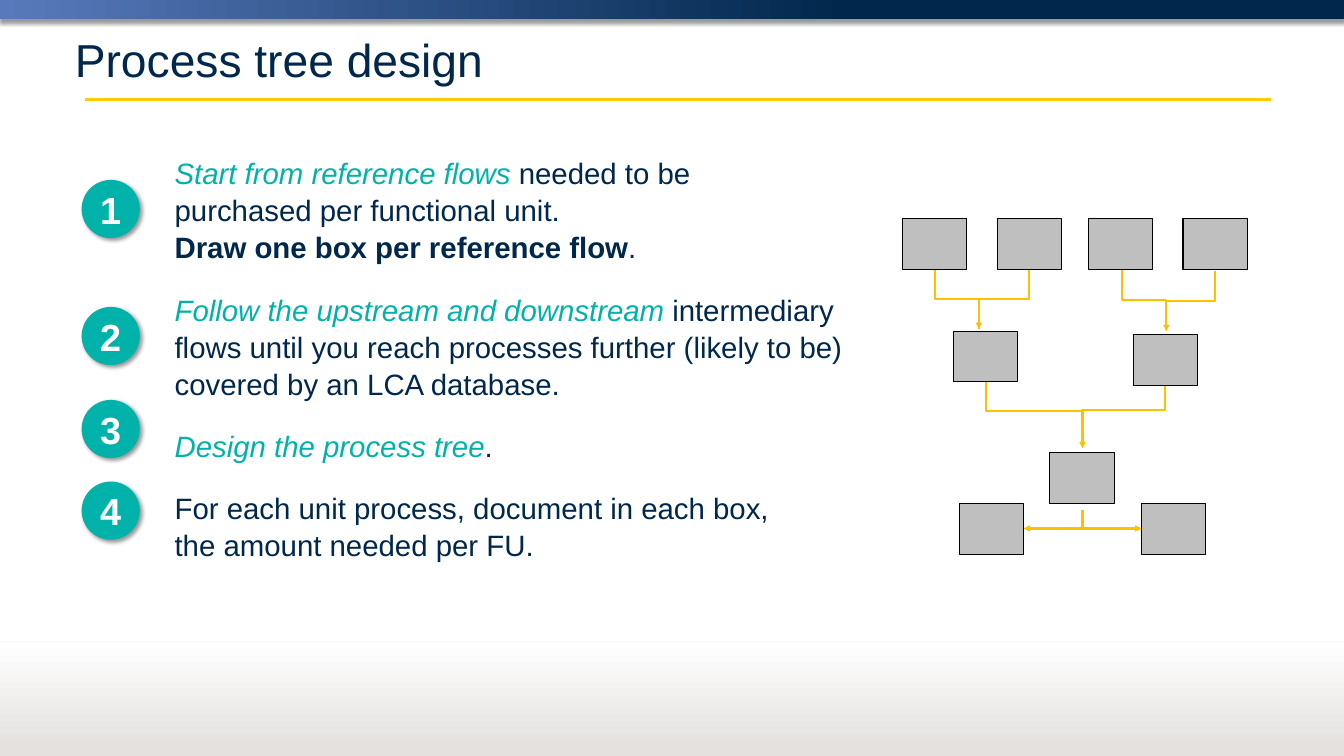
from lxml.etree import SubElement
from pptx import Presentation
from pptx.dml.color import RGBColor
from pptx.enum.shapes import MSO_CONNECTOR, MSO_SHAPE
from pptx.enum.text import MSO_ANCHOR, MSO_AUTO_SIZE, PP_ALIGN
from pptx.oxml.ns import qn
from pptx.util import Inches, Pt

NAVY, TEAL, GOLD, SAND = "00274C", "00B2A9", "FFC000", "E4E1DF"


def paint(color, value):
    color.rgb = RGBColor.from_string(value)


def place(shape, *box):
    shape.left, shape.top, shape.width, shape.height = map(Inches, box)


def shade(shape, alpha, blur, dist, angle):
    props = shape._element.spPr
    effects = props.find(qn("a:effectLst"))
    if effects is None:
        effects = SubElement(props, qn("a:effectLst"))
    outer = SubElement(effects, qn("a:outerShdw"), blurRad=str(Pt(blur)),
                       dist=str(Pt(dist)), dir=str(angle * 60000),
                       algn="tl", rotWithShape="0")
    tone = SubElement(outer, qn("a:srgbClr"), val="000000")
    SubElement(tone, qn("a:alpha"), val=str(alpha * 1000))


def write(para, text, size=28, color=NAVY, bold=False, italic=False):
    """Add text to a paragraph, with a line break at each newline."""
    for i, part in enumerate(text.split("\n")):
        if i:
            para.add_line_break()
        if part:
            run = para.add_run()
            run.text = part
            font = run.font
            font.name, font.size = "Arial", Pt(size)
            font.bold, font.italic = bold, italic
            paint(font.color, color)


def shape(slide, kind, box, fill=None, line=None):
    item = slide.shapes.add_shape(kind, *map(Inches, box))
    item.shadow.inherit = False
    if fill:
        item.fill.solid()
        paint(item.fill.fore_color, fill)
    if line:
        paint(item.line.color, line)
        item.line.width = Pt(1)
    else:
        item.line.fill.background()
    return item


def band(slide, box, stops, angle):
    item = shape(slide, MSO_SHAPE.RECTANGLE, box)
    item.fill.gradient()
    item.fill.gradient_angle = angle
    for stop, (spot, color) in zip(item.fill.gradient_stops, stops):
        stop.position = spot
        paint(stop.color, color)
    return item


def link(slide, kind, ends, color, width):
    item = slide.shapes.add_connector(kind, *map(Inches, ends))
    paint(item.line.color, color)
    item.line.width = Pt(width)
    SubElement(item._element.spPr, qn("a:effectLst"))
    return item


def elbow(slide, x1, y1, x2, y2, arrow=True, preset="bentConnector3"):
    """Draw a bent line that leaves its start downwards."""
    long, wide = y2 - y1, abs(x2 - x1)
    left, top = (x1 + x2 - long) / 2, (y1 + y2 - wide) / 2
    item = link(slide, MSO_CONNECTOR.ELBOW,
                (left, top, left + long, top + wide), GOLD, 2)
    props = item._element.spPr
    props.find(qn("a:prstGeom")).set("prst", preset)
    frame = props.find(qn("a:xfrm"))
    right = x2 > x1
    frame.set("rot", str((270 if right else 90) * 60000))
    if right:
        frame.set("flipH", "1")
    if arrow:
        SubElement(props.find(qn("a:ln")), qn("a:tailEnd"), type="triangle")


def frame(slide):
    bar = band(slide, (0, 0, 17.78, 0.25), [(0, "587ABC"), (0.63, NAVY)], 0)
    shade(bar, 40, 4, 3, 90)
    link(slide, MSO_CONNECTOR.STRAIGHT, (1.12, 1.32, 16.81, 1.32), "FFCB05", 3)
    band(slide, (0, 8.5, 17.78, 1.5), [(0.08, SAND), (1, "FFFFFF")], 90)
    edge = link(slide, MSO_CONNECTOR.STRAIGHT, (0, 8.49, 17.78, 8.49), SAND, 0.75)
    tone = edge._element.spPr.find(".//" + qn("a:srgbClr"))
    SubElement(tone, qn("a:alpha"), val="30000")
    shade(edge, 38, 3.1, 1.6, 90)


def title(slide):
    item = slide.shapes.title
    place(item, 0.89, 0.31, 16.89, 0.95)
    item.text_frame.vertical_anchor = MSO_ANCHOR.MIDDLE
    item.text_frame.auto_size = MSO_AUTO_SIZE.NONE
    para = item.text_frame.paragraphs[0]
    para.alignment = PP_ALIGN.LEFT
    write(para, "Process tree design", size=44)


def steps(slide):
    key = {"color": TEAL, "italic": True}
    items = [
        [("Start from reference flows ", key),
         ("needed to be \npurchased per functional unit. \n", {}),
         ("Draw one box per reference flow", {"bold": True}), (".", {})],
        [("Follow the upstream and downstream ", key),
         ("intermediary flows until you reach processes further "
          "(likely to be) covered by an LCA database.", {})],
        [("Design the process tree", key), (".", {})],
        [("For each unit process, document in each box,\n"
          "the amount needed per FU.", {})],
    ]
    body = slide.placeholders[1]
    place(body, 2.21, 1.98, 9.85, 5.35)
    text = body.text_frame
    text.word_wrap = True
    text.auto_size = MSO_AUTO_SIZE.NONE
    text.vertical_anchor = MSO_ANCHOR.TOP
    for i, parts in enumerate(items):
        para = text.add_paragraph() if i else text.paragraphs[0]
        props = para._p.get_or_add_pPr()
        props.set("marL", "0")
        props.set("indent", "0")
        SubElement(props, qn("a:buNone"))
        para.space_before, para.space_after = Pt(0), Pt(24)
        para.line_spacing = 1.05
        for words, style in parts:
            write(para, words, **style)


def badges(slide):
    for i, top in enumerate((2.38, 4.06, 5.29, 6.37), 1):
        disc = shape(slide, MSO_SHAPE.OVAL, (1.08, top, 0.77, 0.77), TEAL)
        shade(disc, 40, 4, 3, 45)
        text = disc.text_frame
        text.word_wrap = False
        text.vertical_anchor = MSO_ANCHOR.MIDDLE
        para = text.paragraphs[0]
        para.alignment = PP_ALIGN.CENTER
        write(para, str(i), size=36, color="FFFFFF", bold=True)


def tree(slide):
    # Flows that join, level by level
    elbow(slide, 13.04, 4.94, 14.32, 5.93)
    elbow(slide, 15.41, 5.06, 14.32, 5.8, arrow=False)
    elbow(slide, 12.37, 3.55, 12.95, 4.35, arrow=False)
    elbow(slide, 13.61, 3.56, 12.95, 4.35)
    elbow(slide, 14.84, 3.57, 15.42, 4.37, arrow=False)
    elbow(slide, 16.07, 3.59, 15.43, 4.38)
    # Flows that part at the foot
    for side in (13.54, 15.1):
        elbow(slide, 14.32, 6.74, side, 6.99, preset="bentConnector2")
    # Process boxes
    spots = [(x, 2.89) for x in (11.94, 13.19, 14.4, 15.65)]
    spots += [(12.61, 4.38), (14.99, 4.43), (13.89, 5.99),
              (12.69, 6.66), (15.1, 6.66)]
    for x, y in spots:
        shape(slide, MSO_SHAPE.RECTANGLE, (x, y, 0.85, 0.67), "BFBFBF", "000000")


def main():
    deck = Presentation()
    deck.slide_width, deck.slide_height = Inches(17.78), Inches(10)
    slide = deck.slides.add_slide(deck.slide_layouts[1])
    frame(slide)
    title(slide)
    steps(slide)
    tree(slide)
    badges(slide)
    deck.save("out.pptx")


if __name__ == "__main__":
    main()
